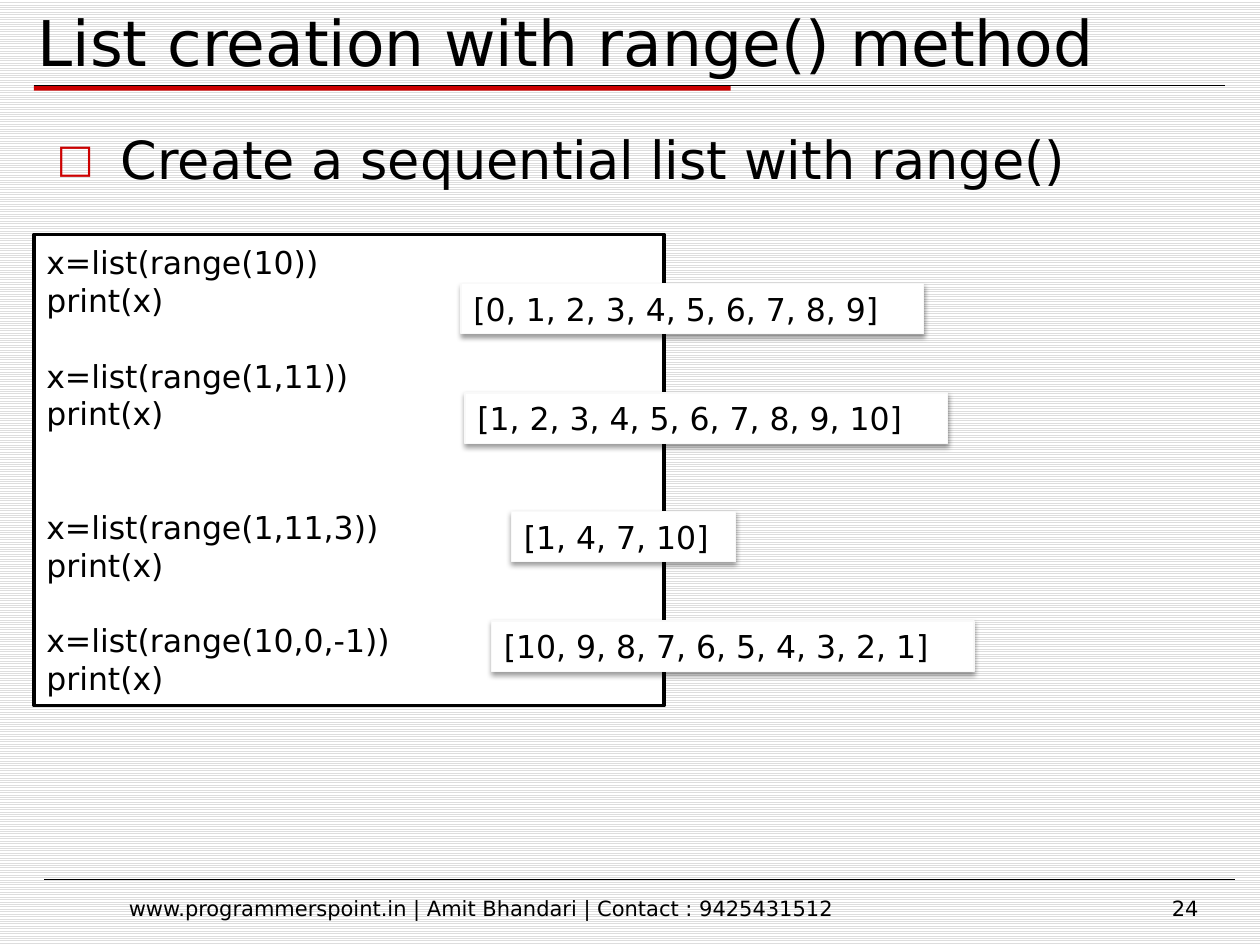
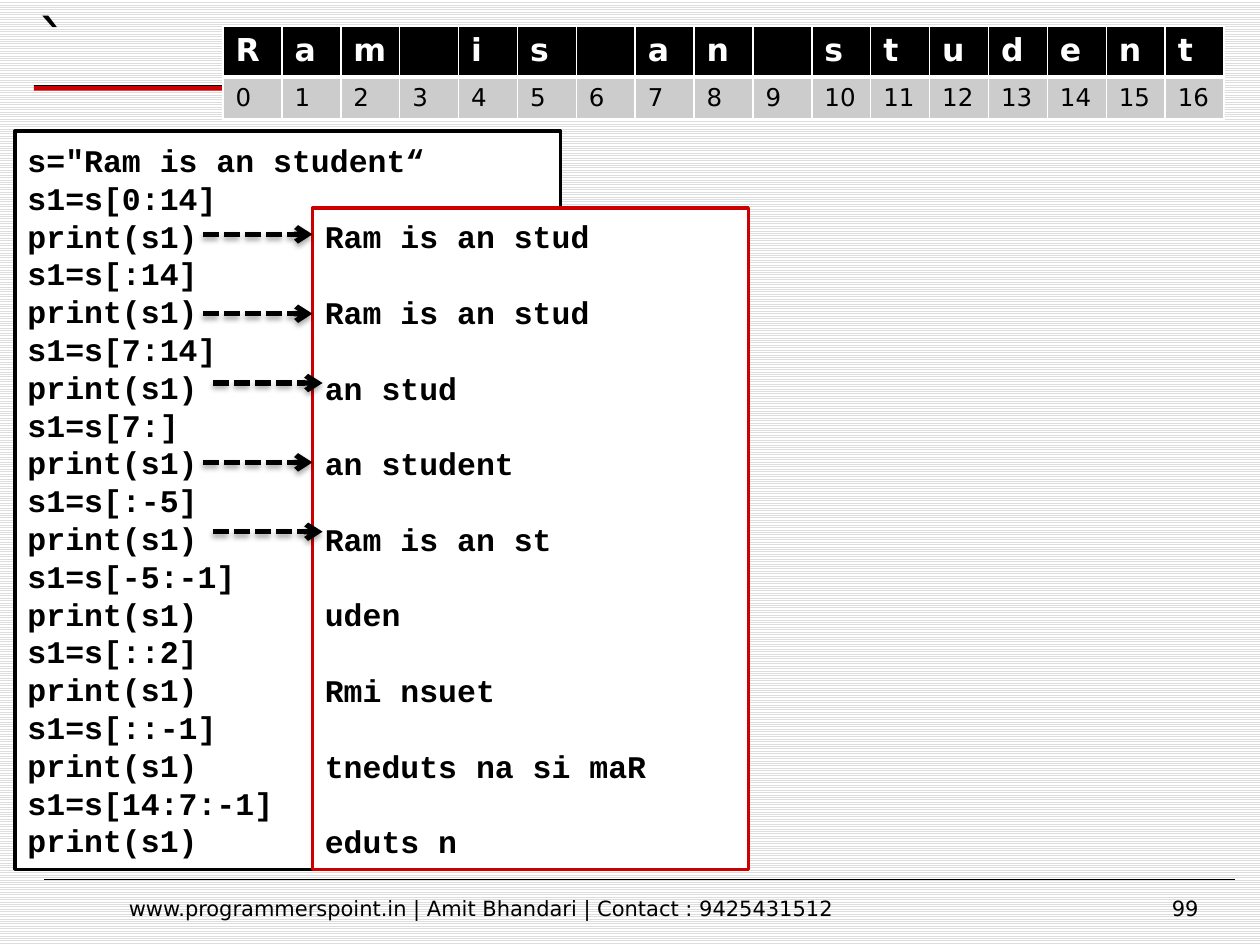
from dataclasses import dataclass
from lxml.etree import SubElement as Sub
from pptx import Presentation
from pptx.dml.color import RGBColor as Rgb
from pptx.enum.dml import MSO_LINE as Dash, MSO_PATTERN as Pat
from pptx.enum.shapes import MSO_CONNECTOR as Link, MSO_SHAPE as Form
from pptx.enum.text import MSO_ANCHOR as Anchor, PP_ALIGN as Align
from pptx.oxml import parse_xml
from pptx.oxml.ns import nsdecls, qn
from pptx.util import Inches, Pt

COLS, ROWS = 100, 75  # grid units across and down the slide


@dataclass(frozen=True)
class Theme:
    ink: str = "000000"
    paper: str = "FFFFFF"
    red: str = "CC0000"
    stripe: str = "DDDDDD"
    cell: str = "CCCCCC"
    edge: str = "F9F9F9"
    sans: str = "DejaVu Sans"
    mono: str = "Courier New"
    title: int = 36
    point: int = 30
    body: int = 18
    index: int = 14
    foot: int = 12
    pitch: float = 21.6  # line height of code


class Deck:
    def __init__(self, theme):
        self.look = theme
        self.prs = Presentation()
        self.prs.slide_width, self.prs.slide_height = Inches(10), Inches(7.5)
        self.page = None

    def grid(self, x, y):
        return (round(x * self.prs.slide_width / COLS),
                round(y * self.prs.slide_height / ROWS))

    def start(self, title, number):
        """Open a slide with the shared background, title, rules and footer."""
        look = self.look
        self.page = self.prs.slides.add_slide(self.prs.slide_layouts[6])
        back = self.page.background.fill
        back.patterned()
        back.pattern = Pat.LIGHT_HORIZONTAL
        back.fore_color.rgb = Rgb.from_string(look.stripe)
        back.back_color.rgb = Rgb.from_string(look.paper)
        self.rect(2.7, 6.8, 55.3, 0.4, look.red)
        self.rule(2.7, 6.8, 94.5, 0.75)
        self.rule(3.5, 69.8, 94.5, 0.25)
        self.text(2, -0.3, 87.5, 7.1, title, look.title, anchor=Anchor.BOTTOM)
        self.text(6.7, 70.6, 63, 2.8,
                  "www.programmerspoint.in | Amit Bhandari | Contact : 9425431512",
                  look.foot, Align.CENTER)
        self.text(74.4, 70.6, 21.7, 2.8, number, look.foot, Align.RIGHT)

    def run(self, para, text, size, font=None, bold=False, color=None):
        run = para.add_run()
        run.text = text
        run.font.size, run.font.bold = Pt(size), bold
        run.font.name = font or self.look.sans
        run.font.color.rgb = Rgb.from_string(color or self.look.ink)

    def text(self, x, y, w, h, words, size, align=Align.LEFT, anchor=Anchor.TOP):
        box = self.page.shapes.add_textbox(*self.grid(x, y), *self.grid(w, h))
        frame = box.text_frame
        frame.word_wrap, frame.vertical_anchor = True, anchor
        para = frame.paragraphs[0]
        para.alignment = align
        self.run(para, words, size)
        return para

    def point(self, x, y, w, h, words):
        """Text led by a hollow red square."""
        para = self.text(x, y, w, h, words, self.look.point)
        props = para._p.get_or_add_pPr()
        props.set("marL", str(Inches(0.51)))
        props.set("indent", str(-Inches(0.51)))
        tint = Sub(props, qn("a:buClr"))
        Sub(tint, qn("a:srgbClr"), val=self.look.red)
        Sub(props, qn("a:buSzPct"), val="75000")
        Sub(props, qn("a:buFont"), typeface=self.look.sans)
        Sub(props, qn("a:buChar"), char="□")

    def rect(self, x, y, w, h, fill, edge=None, width=2):
        box = self.page.shapes.add_shape(Form.RECTANGLE, *self.grid(x, y),
                                         *self.grid(w, h))
        box.shadow.inherit = False
        box.fill.solid()
        box.fill.fore_color.rgb = Rgb.from_string(fill)
        if edge:
            box.line.color.rgb = Rgb.from_string(edge)
            box.line.width = Pt(width)
        else:
            box.line.fill.background()
        return box

    def code(self, x, y, w, h, lines, edge, width=2, font=None, bold=False):
        """Framed lines; an empty string widens the gap above the next line."""
        look = self.look
        box = self.rect(x, y, w, h, look.paper, edge, width)
        frame = box.text_frame
        frame.word_wrap, frame.vertical_anchor = True, Anchor.MIDDLE
        para, gap = frame.paragraphs[0], 0
        for n, line in enumerate(lines):
            if not line:
                gap += 1
                continue
            if n:
                para = frame.add_paragraph()
                para.space_before = Pt(gap * look.pitch)
            para.alignment = Align.LEFT
            para.line_spacing = Pt(look.pitch)
            self.run(para, line, look.body, font, bold)
            gap = 0
        return box

    def shade(self, shape, alpha, drop):
        """Soft shadow straight below a shape or connector."""
        props = shape._element.spPr
        group = props.find(qn("a:effectLst"))
        cast = Sub(group, qn("a:outerShdw"), blurRad=str(Pt(3.1)),
                   dist=str(Pt(drop)), dir="5400000", rotWithShape="0")
        tint = Sub(cast, qn("a:srgbClr"), val=self.look.ink)
        Sub(tint, qn("a:alpha"), val=str(alpha * 1000))

    def rule(self, x, y, w, width):
        line = self.page.shapes.add_connector(Link.STRAIGHT, *self.grid(x, y),
                                              *self.grid(x + w, y))
        line.line.color.rgb = Rgb.from_string(self.look.ink)
        line.line.width = Pt(width)
        Sub(line._element.spPr, qn("a:effectLst"))
        return line

    def arrow(self, x, y, w):
        line = self.rule(x, y, w, 3)
        line.line.dash_style = Dash.SQUARE_DOT
        Sub(line.line._get_or_add_ln(), qn("a:tailEnd"), type="arrow")
        self.shade(line, 35, 1.8)

    def table(self, x, y, w, rows):
        """Each row is (height, texts, fill, text colour, size, bold)."""
        look, count = self.look, len(rows[0][1])
        high = sum(row[0] for row in rows)
        table = self.page.shapes.add_table(len(rows), count, *self.grid(x, y),
                                           *self.grid(w, high)).table
        for col in table.columns:
            col.width = self.grid(w / count, 0)[0]
        for r, (tall, words, fill, color, size, bold) in enumerate(rows):
            table.rows[r].height = self.grid(0, tall)[1]
            for c, word in enumerate(words):
                cell = table.cell(r, c)
                cell.fill.solid()
                cell.fill.fore_color.rgb = Rgb.from_string(fill)
                para = cell.text_frame.paragraphs[0]
                para.font.size = Pt(size)
                if word.strip():
                    self.run(para, word, size, bold=bold, color=color)
                thick = "B" if r == 0 else "T"  # heavy rule under the head
                for n, side in enumerate("LRTB"):
                    self.border(cell, n, side, 3 if side == thick else 1)

    def border(self, cell, place, side, width):
        cell._tc.get_or_add_tcPr().insert(place, parse_xml(
            f'<a:ln{side} {nsdecls("a")} w="{Pt(width)}"><a:solidFill>'
            f'<a:srgbClr val="{self.look.paper}"/></a:solidFill></a:ln{side}>'))


def ranges(deck):
    look = deck.look
    deck.start("List creation with range() method", "24")
    deck.point(3.5, 9.6, 92.9, 7.9, "Create a sequential list with range()")

    # Calls, with their printed lists beside them
    calls = ["x=list(range(10))", "print(x)", "",
             "x=list(range(1,11))", "print(x)", "", "",
             "x=list(range(1,11,3))", "print(x)", "",
             "x=list(range(10,0,-1))", "print(x)"]
    deck.code(2.7, 18.6, 50, 37.4, calls, look.ink)
    for x, y, w, nums in [(36.6, 22.5, 36.7, range(10)),
                          (36.9, 31.2, 38.3, range(1, 11)),
                          (40.6, 40.6, 17.8, range(1, 11, 3)),
                          (39, 49.3, 38.3, range(10, 0, -1))]:
        box = deck.code(x, y, w, 4, [str(list(nums))], look.edge, 0.75)
        deck.shade(box, 38, 1.6)


def slices(deck):
    look = deck.look
    deck.start("`", "99")

    # Letters over their indexes
    words = "Ram is an student"
    deck.table(17.7, 2.1, 79.5, [
        (3.85, list(words), look.ink, look.paper, look.body, True),
        (3.35, [str(n) for n in range(len(words))], look.cell, look.ink,
         look.index, False)])

    # Slices and what each one prints
    cuts = [("0:14", "Ram is an stud"), (":14", "Ram is an stud"),
            ("7:14", "an stud"), ("7:", "an student"), (":-5", "Ram is an st"),
            ("-5:-1", "uden"), ("::2", "Rmi nsuet"),
            ("::-1", "tneduts na si maR"), ("14:7:-1", "eduts n")]
    source, prints = ['s="Ram is an student“'], []
    for cut, shown in cuts:
        source += [f"s1=s[{cut}]", "print(s1)"]
        prints += [shown, ""]
    deck.code(1.2, 10.4, 43.3, 58.6, source, look.ink, font=look.mono, bold=True)
    deck.code(24.8, 16.5, 34.6, 52.5, prints, look.red, font=look.mono, bold=True)

    # Arrows from the first calls to their output
    for x, y in [(16.1, 18.6), (16.1, 24.9), (16.9, 30.4), (16.1, 36.7),
                 (16.9, 42.2)]:
        deck.arrow(x, y, 8.7)


def main():
    deck = Deck(Theme())
    ranges(deck)
    slices(deck)
    deck.prs.save("out.pptx")


if __name__ == "__main__":
    main()
